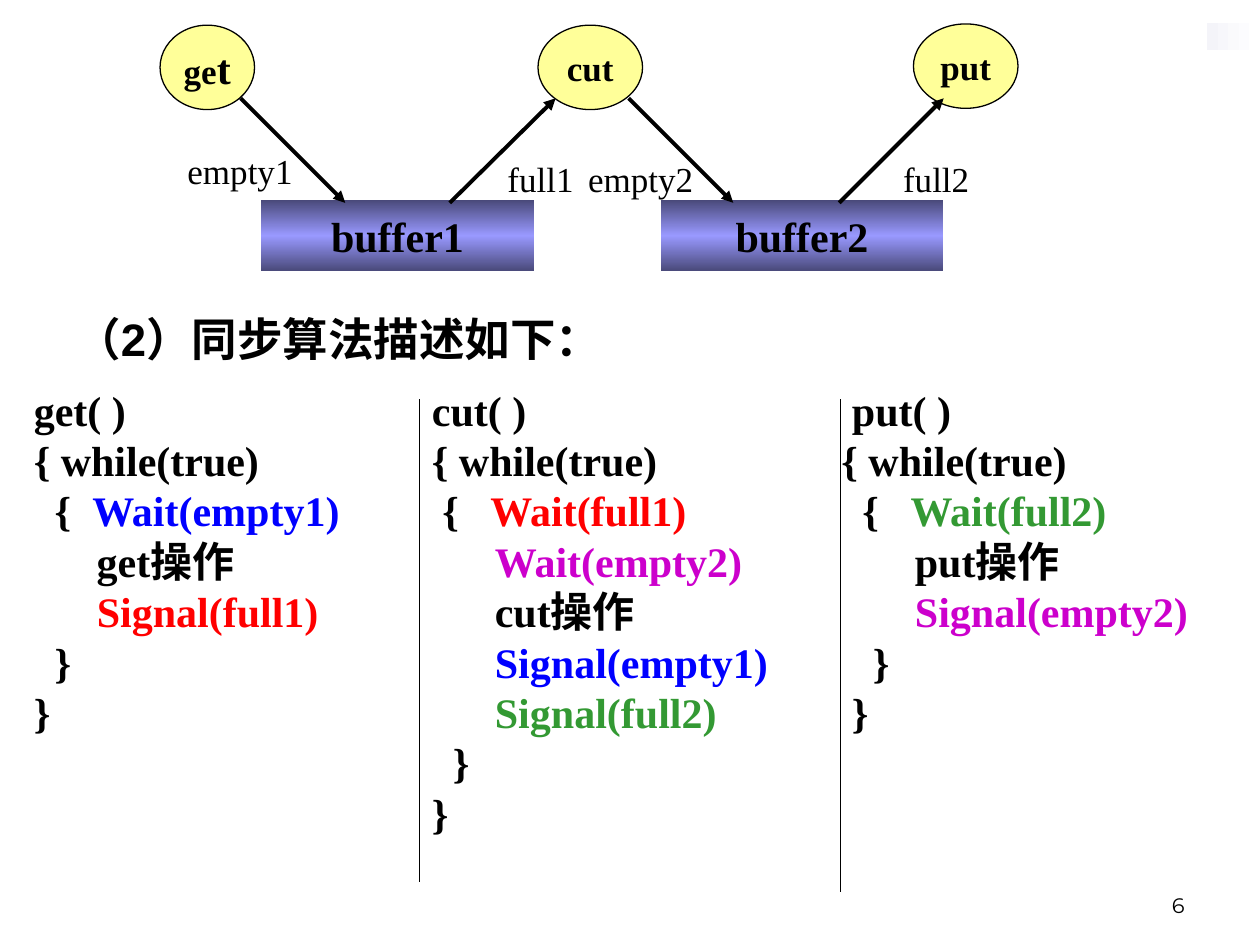
from copy import deepcopy
from pptx import Presentation
from pptx import util as u
from pptx.dml.color import RGBColor
from pptx.enum import shapes, text
from pptx.oxml import parse_xml
from pptx.oxml.ns import nsdecls, qn

SERIF = "Times New Roman"
BLACK, WHITE, YELLOW = "000000", "FFFFFF", "FFFF99"
BLUE, RED, PURPLE, GREEN = "0000FF", "FF0000", "CC00CC", "339933"
CENTER, RIGHT = text.PP_ALIGN.CENTER, text.PP_ALIGN.RIGHT
TOP_ANCHOR, MIDDLE, BOTTOM = (text.MSO_ANCHOR.TOP, text.MSO_ANCHOR.MIDDLE,
                              text.MSO_ANCHOR.BOTTOM)
GRADIENT = [(0, "474776"), (0.5, "9999FF"), (1, "474776")]
FADE = [(0, "F4F4F9"), (1, WHITE)]

buffers = [("buffer1", 2.07, 2.17), ("buffer2", 5.24, 2.25)]
processes = [
    (["ge", ("t", BLACK, 24)], 1.27, 0.2, 0.75),
    (["cut"], 4.27, 0.2, 0.83),
    (["put"], 7.25, 0.19, 0.83),
]
TOP, LOW = 0.78, 1.61
arrows = [(1.91, TOP, 2.74, LOW), (3.57, LOW, 4.41, TOP),
          (4.99, TOP, 5.82, LOW), (6.66, LOW, 7.49, TOP)]
labels = [("empty1", 1.39, 1.14, 1.03), ("full1", 3.93, 1.2, 0.72),
          ("empty2", 4.57, 1.2, 1.03), ("full2", 7.07, 1.2, 0.72)]
dividers = [(3.33, 7), (6.67, 7.08)]
routines = [
    (0.17, 3.16, 2.9, [
        "get( )",
        "{ while(true)",
        ["  {  ", ("Wait(empty1)", BLUE)],
        "      get操作",
        ["      ", ("Signal(full1)", RED)],
        "  }",
        "}",
    ]),
    (3.33, 4.17, 3.7, [
        "cut( )",
        "{ while(true)",
        [" {   ", ("Wait(full1)", RED)],
        ["      ", ("Wait(empty2)", PURPLE)],
        "      cut操作",
        ["      ", ("Signal(empty1)", BLUE)],
        ["      ", ("Signal(full2)", GREEN)],
        "  }",
        "}",
    ]),
    (6.58, 3.42, 2.9, [
        " put( )",
        "{ while(true)",
        ["  {   ", ("Wait(full2)", GREEN)],
        "       put操作",
        ["       ", ("Signal(empty2)", PURPLE)],
        "   }",
        " }",
    ]),
]

prs = Presentation()
prs.slide_width, prs.slide_height = u.Inches(10), u.Inches(7.5)
s = prs.slides.add_slide(prs.slide_layouts[6])


def rgb(color):
    return RGBColor.from_string(color)


def add_run(p, words, color=BLACK, size=24, font=SERIF, bold=True):
    r = p.add_run()
    r.text = words
    r.font.size, r.font.name, r.font.bold = u.Pt(size), font, bold
    r.font.color.rgb = rgb(color)


def write(sp, lines, size=24, font=SERIF, bold=True, align=None,
          anchor=TOP_ANCHOR, wrap=True, spacing=None, inset=0.1):
    tf = sp.text_frame
    tf.word_wrap, tf.vertical_anchor = wrap, anchor
    tf.margin_left = tf.margin_right = u.Inches(inset)
    for i, line in enumerate(lines):
        p = tf.add_paragraph() if i else tf.paragraphs[0]
        p.alignment, p.line_spacing = align, spacing
        for part in [line] if isinstance(line, str) else line:
            words, *style = [part] if isinstance(part, str) else part
            fmt = {"size": size, "font": font, "bold": bold}
            fmt.update(zip(("color", "size"), style))
            add_run(p, words, **fmt)


def add_text(lines, x, y, w, h, **fmt):
    write(s.shapes.add_textbox(*map(u.Inches, (x, y, w, h))), lines, **fmt)


def add_shape(kind, x, y, w, h, fill, line=None, angle=0):
    sp = s.shapes.add_shape(kind, *map(u.Inches, (x, y, w, h)))
    sp.shadow.inherit = False
    if isinstance(fill, str):
        sp.fill.solid()
        sp.fill.fore_color.rgb = rgb(fill)
    else:
        sp.fill.gradient()
        sp.fill.gradient_angle = angle
        stops = sp._element.spPr.find(qn("a:gradFill")).find(qn("a:gsLst"))
        while len(stops) < len(fill):
            stops.append(deepcopy(stops[0]))
        for stop, (position, color) in zip(sp.fill.gradient_stops, fill):
            stop.position, stop.color.rgb = position, rgb(color)
    if line:
        sp.line.color.rgb, sp.line.width = rgb(line), u.Pt(0.75)
    else:
        sp.line.fill.background()
    return sp


def add_line(x1, y1, x2, y2, width=0.75, arrow=False):
    c = s.shapes.add_connector(shapes.MSO_CONNECTOR.STRAIGHT,
                               *map(u.Inches, (x1, y1, x2, y2)))
    c.line.color.rgb, c.line.width = rgb(BLACK), u.Pt(width)
    if arrow:
        c.line._get_or_add_ln().append(
            parse_xml(f'<a:tailEnd {nsdecls("a")} type="triangle"/>'))
    c._element.spPr.append(parse_xml(f'<a:effectLst {nsdecls("a")}/>'))


RECT, OVAL = shapes.MSO_SHAPE.RECTANGLE, shapes.MSO_SHAPE.OVAL
add_shape(RECT, 9.58, 0.18, 0.42, 0.22, FADE)
add_text(["6"], 7.17, 6.83, 2.33, 0.5, size=12, font="Montserrat",
         bold=False, align=RIGHT, anchor=BOTTOM)
add_text(["（2）同步算法描述如下："], 0.5, 2.33, 9, 0.67, size=26,
         font="Arial", spacing=1.2)
for x, w, h, lines in routines:
    add_text(lines, x, 3, w, h)
for x, bottom in dividers:
    add_line(x, 3.17, x, bottom)
for name, x, w in buffers:
    sp = add_shape(RECT, x, 1.58, w, 0.58, GRADIENT, WHITE, 90)
    write(sp, [name], align=CENTER, anchor=MIDDLE, wrap=False)
for runs, x, y, w in processes:
    sp = add_shape(OVAL, x, y, w, 0.67, YELLOW, BLACK)
    write(sp, [runs], size=20, align=CENTER, anchor=MIDDLE, wrap=False)
for ends in arrows:
    add_line(*ends, width=2.25, arrow=True)
for name, x, y, w in labels:
    add_text([name], x, y, w, 0.44, size=20, bold=False, align=CENTER,
             wrap=False, inset=0.02)

prs.save("out.pptx")
